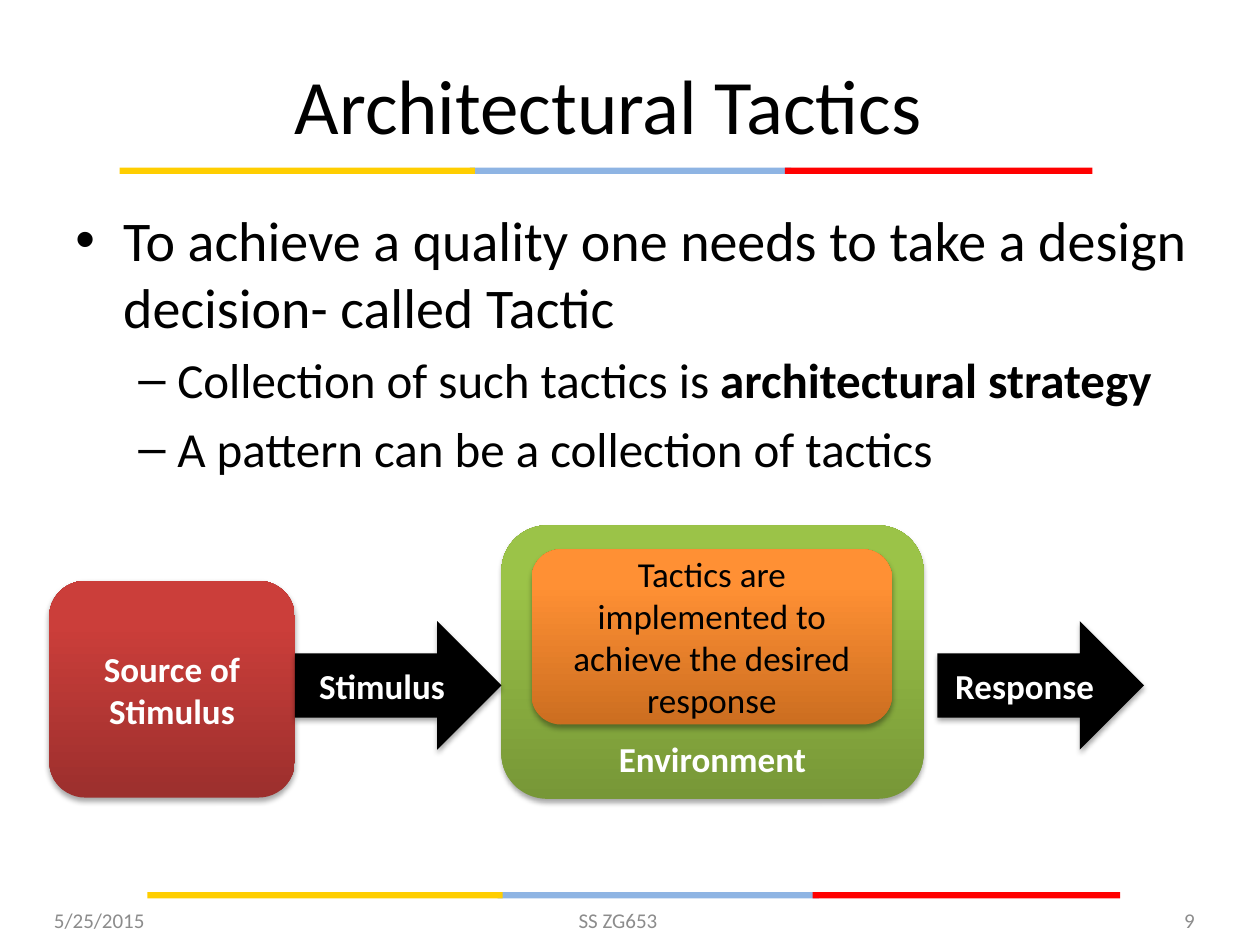
from lxml import etree
from pptx import Presentation
from pptx.dml.color import RGBColor
from pptx.enum.shapes import MSO_SHAPE
from pptx.enum.text import MSO_ANCHOR, PP_ALIGN
from pptx.oxml.ns import qn
from pptx.util import Inches, Pt

RECTANGLE = MSO_SHAPE.RECTANGLE
ROUNDED = MSO_SHAPE.ROUNDED_RECTANGLE
ARROW = MSO_SHAPE.RIGHT_ARROW
TOP, MIDDLE, BOTTOM = MSO_ANCHOR.TOP, MSO_ANCHOR.MIDDLE, MSO_ANCHOR.BOTTOM
LEFT, CENTER, RIGHT = PP_ALIGN.LEFT, PP_ALIGN.CENTER, PP_ALIGN.RIGHT

FONT = "Calibri"
BLACK = RGBColor(0x00, 0x00, 0x00)
WHITE = RGBColor(0xFF, 0xFF, 0xFF)
GRAY = RGBColor(0x8C, 0x8C, 0x8C)
YELLOW = RGBColor(0xFF, 0xCE, 0x00)
BLUE = RGBColor(0x8E, 0xB4, 0xE3)
RED = RGBColor(0xFF, 0x00, 0x00)
# Gradients run from the dark bottom to the light top.
RED_GRADIENT = (RGBColor(0x9C, 0x2F, 0x2D), RGBColor(0xCB, 0x3E, 0x3A))
GREEN_GRADIENT = (RGBColor(0x77, 0x97, 0x37), RGBColor(0x9B, 0xC3, 0x48))
ORANGE_GRADIENT = (RGBColor(0xCC, 0x6E, 0x20), RGBColor(0xFF, 0x90, 0x34))

STRIPES = [(2.78, 2.55, BLUE), (5.28, 2.44, RED), (0, 2.82, YELLOW)]
# Bullet character, left margin, hanging indent and text size of each level
LEVELS = [("•", 0.38, 0.38, 32), ("–", 0.81, 0.31, 28)]
BODY = [
    (0, [("To achieve a quality one needs to take a design "
          "decision- called Tactic", False)]),
    (1, [("Collection of such tactics is ", False),
         ("architectural strategy", True)]),
    (1, [("A pattern can be a collection of tactics", False)]),
]


def set_font(paragraph, size, color, bold=False):
    font = paragraph.font
    font.name, font.size, font.bold = FONT, Pt(size), bold
    font.color.rgb = color


def add_text_box(slide, box, anchor):
    frame = slide.shapes.add_textbox(*map(Inches, box)).text_frame
    frame.word_wrap = True
    frame.vertical_anchor = anchor
    return frame


def add_label(slide, box, text, size, color, alignment):
    paragraph = add_text_box(slide, box, MIDDLE).paragraphs[0]
    paragraph.text = text
    paragraph.alignment = alignment
    set_font(paragraph, size, color)


def add_plain_shape(slide, kind, box):
    shape = slide.shapes.add_shape(kind, *map(Inches, box))
    shape.shadow.inherit = False
    shape.line.fill.background()
    return shape


def fill_solid(shape, color):
    shape.fill.solid()
    shape.fill.fore_color.rgb = color


def add_stripes(slide, left, top):
    for offset, width, color in STRIPES:
        stripe = add_plain_shape(slide, RECTANGLE, (left + offset, top, width, 0.05))
        fill_solid(stripe, color)


def fill_gradient(shape, colors):
    shape.fill.gradient()
    shape.fill.gradient_angle = 90
    for stop, color, position in zip(shape.fill.gradient_stops, colors, (0, 0.8)):
        stop.color.rgb = color
        stop.position = position


def add_shadow(shape):
    effects = shape.element.spPr.find(qn("a:effectLst"))
    shadow = etree.SubElement(effects, qn("a:outerShdw"), blurRad=str(Pt(3.1)),
                              dist=str(Pt(1.8)), dir="5400000", rotWithShape="0")
    color = etree.SubElement(shadow, qn("a:srgbClr"), val=str(BLACK))
    etree.SubElement(color, qn("a:alpha"), val="35000")


def add_diagram_shape(slide, kind, box, text, gradient=None, color=WHITE,
                      bold=True, anchor=MIDDLE):
    """Add a shadowed shape with a centred caption; black without a gradient."""
    shape = add_plain_shape(slide, kind, box)
    if gradient:
        fill_gradient(shape, gradient)
    else:
        fill_solid(shape, BLACK)
    add_shadow(shape)
    frame = shape.text_frame
    frame.word_wrap = True
    frame.vertical_anchor = anchor
    paragraph = frame.paragraphs[0]
    paragraph.text = text
    paragraph.alignment = CENTER
    set_font(paragraph, 20, color, bold)


def add_body(slide, box):
    frame = add_text_box(slide, box, TOP)
    for index, (level, runs) in enumerate(BODY):
        paragraph = frame.add_paragraph() if index else frame.paragraphs[0]
        bullet, margin, hanging, size = LEVELS[level]
        paragraph.level = level
        if index:
            paragraph.space_before = Pt(size * 0.2)
        properties = paragraph._p.get_or_add_pPr()
        properties.set("marL", str(Inches(margin)))
        properties.set("indent", str(-Inches(hanging)))
        etree.SubElement(properties, qn("a:buFont"), typeface="Arial")
        etree.SubElement(properties, qn("a:buChar"), char=bullet)
        set_font(paragraph, size, BLACK)
        for text, bold in runs:
            run = paragraph.add_run()
            run.text = text
            run.font.bold = bold


def add_footer(slide):
    for left, width, text, alignment in [(0.33, 2.33, "5/25/2015", LEFT),
                                         (3.32, 3.17, "SS ZG653", CENTER),
                                         (7.25, 2.33, "9", RIGHT)]:
        add_label(slide, (left, 7.1, width, 0.4), text, 12, GRAY, alignment)


def add_diagram(slide):
    add_diagram_shape(slide, ROUNDED, (0.39, 4.61, 1.95, 1.72),
                      "Source of Stimulus", RED_GRADIENT)
    add_diagram_shape(slide, ROUNDED, (3.98, 4.17, 3.35, 2.17),
                      "Environment", GREEN_GRADIENT, anchor=BOTTOM)
    for left, text in [(2.34, "Stimulus"), (7.44, "Response")]:
        add_diagram_shape(slide, ARROW, (left, 4.93, 1.64, 1.02), text)
    add_diagram_shape(slide, ROUNDED, (4.22, 4.36, 2.86, 1.39),
                      "Tactics are implemented to achieve the desired response",
                      ORANGE_GRADIENT, color=BLACK, bold=False)


def main():
    presentation = Presentation()
    presentation.slide_width, presentation.slide_height = Inches(10), Inches(7.5)
    slide = presentation.slides.add_slide(presentation.slide_layouts[6])
    add_stripes(slide, 0.95, 1.33)
    add_stripes(slide, 1.17, 7.08)
    add_label(slide, (0.33, 0.31, 9, 1.03), "Architectural Tactics", 44, BLACK, CENTER)
    add_body(slide, (0.5, 1.58, 9.17, 2.58))
    add_footer(slide)
    add_diagram(slide)
    presentation.save("out.pptx")


if __name__ == "__main__":
    main()
